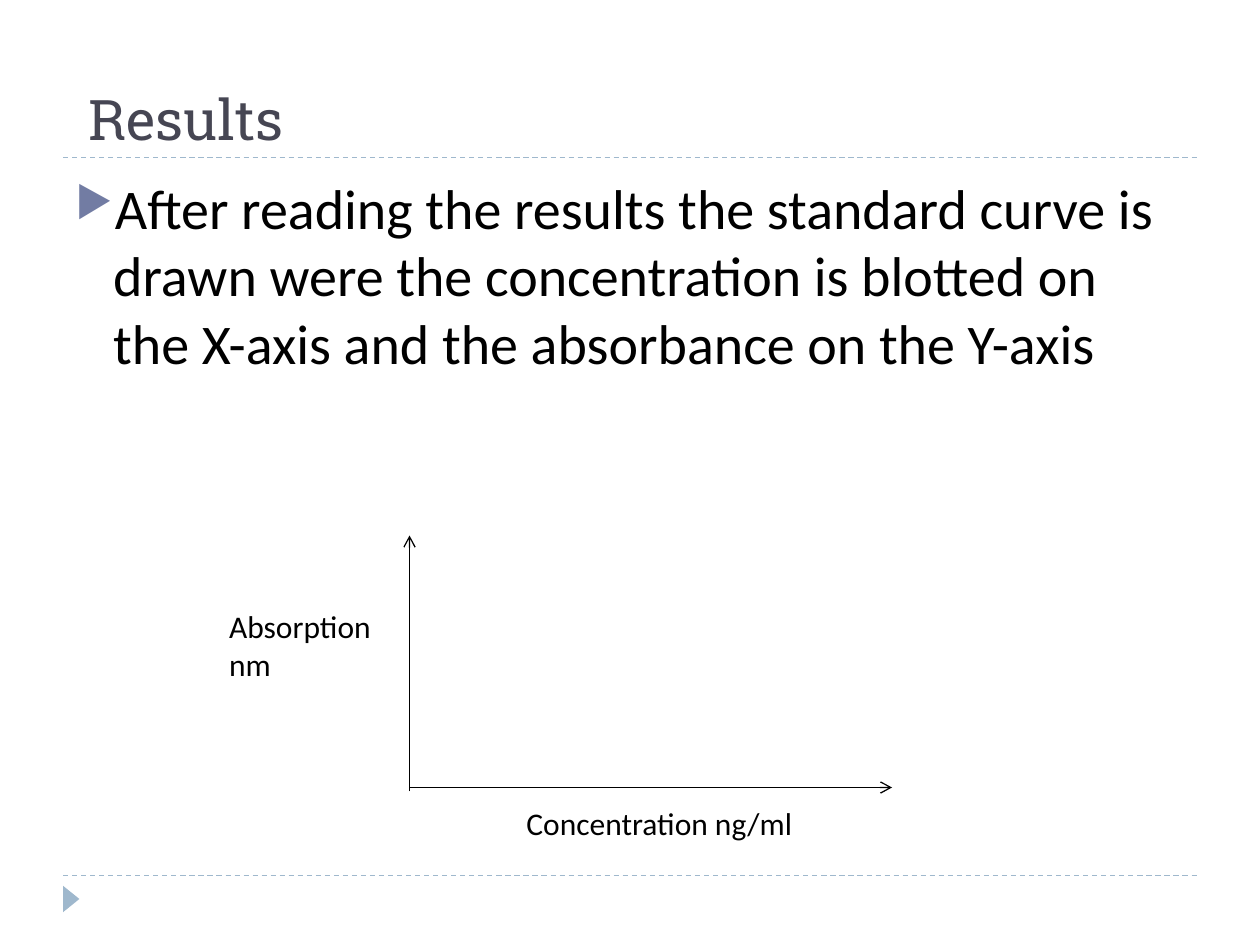
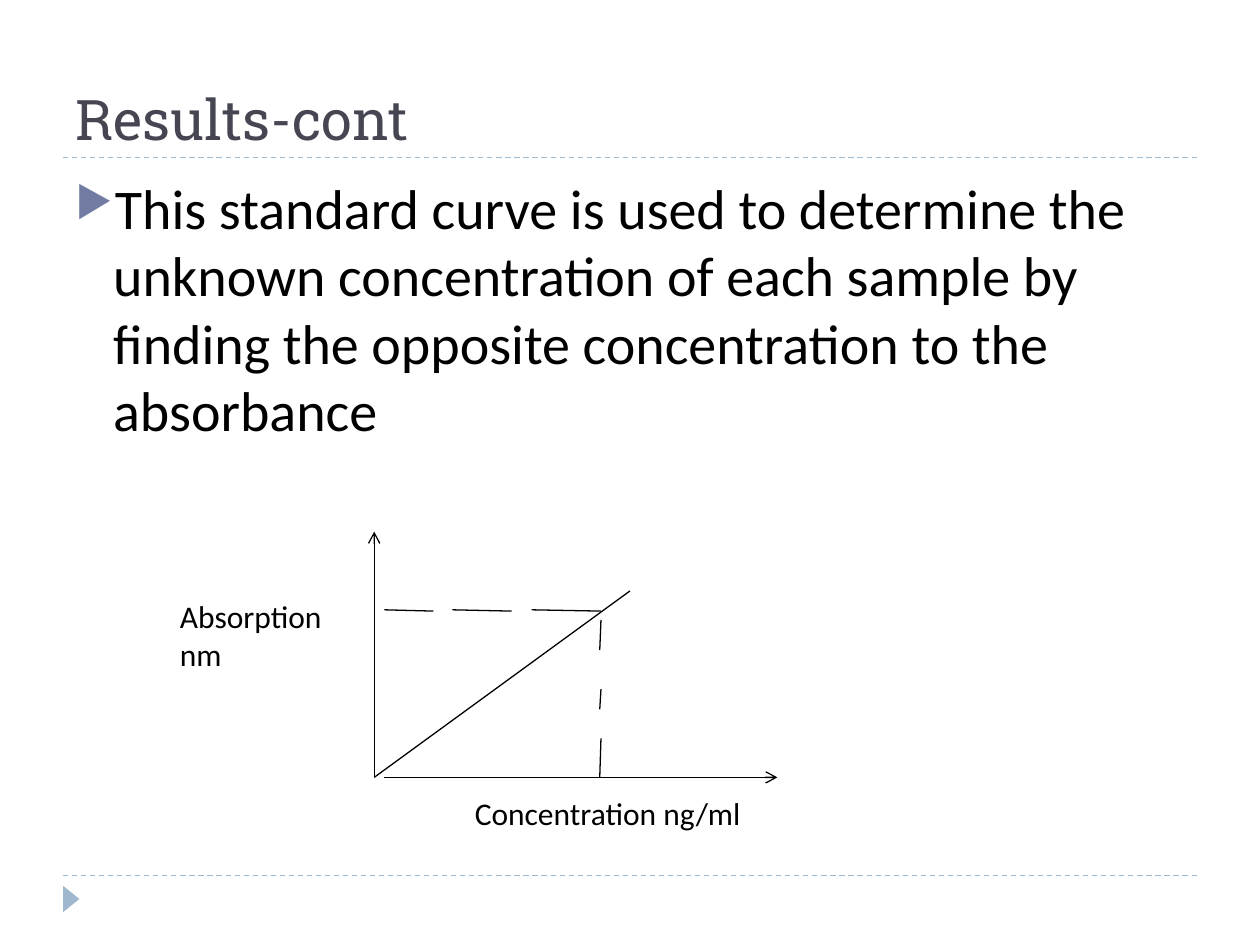
from dataclasses import dataclass

from lxml.etree import SubElement
from pptx import Presentation
from pptx.dml.color import RGBColor
from pptx.enum.dml import MSO_LINE
from pptx.enum.shapes import MSO_CONNECTOR, MSO_SHAPE
from pptx.enum.text import MSO_ANCHOR, MSO_AUTO_SIZE, PP_ALIGN
from pptx.oxml.ns import qn
from pptx.shapes.autoshape import Shape
from pptx.slide import Slide
from pptx.util import Inches, Pt

INK = RGBColor(0x00, 0x00, 0x00)
TITLE_COLOR = RGBColor(0x46, 0x46, 0x53)
RULE_COLOR = RGBColor(0x9F, 0xB8, 0xCD)
BULLET_COLOR = RGBColor(0x72, 0x7C, 0xA3)
TITLE_FONT = "Roboto Slab"
BODY_FONT = "Calibri"


@dataclass(frozen=True)
class Segment:
    x1: float
    y1: float
    x2: float
    y2: float
    arrow: bool = False


@dataclass(frozen=True)
class Label:
    text: str
    left: float
    top: float
    width: float
    height: float
    wrap: bool = True


@dataclass(frozen=True)
class ResultPage:
    title: str
    title_inset: float
    body: str
    segments: list[Segment]
    labels: list[Label]


def axis_labels(x_left: float, x_top: float, y_left: float, y_top: float) -> list[Label]:
    return [
        Label("Concentration ng/ml", x_left, x_top, 2.46, 0.4, wrap=False),
        Label("Absorption nm", y_left, y_top, 1.53, 0.71),
    ]


PAGES = [
    ResultPage(
        "Results",
        0.2,
        "After reading the results the standard curve is drawn were the concentration "
        "is blotted on the X-axis and the absorbance on the Y-axis",
        [
            Segment(3.25, 6.28, 3.25, 4.25, arrow=True),
            Segment(3.25, 6.25, 7.08, 6.25, arrow=True),
        ],
        axis_labels(4.08, 6.33, 1.72, 4.77),
    ),
    ResultPage(
        "Results-cont",
        0.1,
        "This standard curve is used to determine the unknown concentration of each "
        "sample by finding the opposite concentration to the absorbance",
        [
            Segment(2.97, 6.17, 5, 4.69),
            Segment(3.05, 6.17, 6.17, 6.17, arrow=True),
            Segment(2.97, 6.17, 2.97, 4.22, arrow=True),
            *(Segment(start, 4.84, end, 4.85)
              for start, end in ((3.05, 3.44), (3.59, 4.06), (4.22, 4.77))),
            *(Segment(4.77, start, 4.76, end)
              for start, end in ((5.86, 6.17), (5.47, 5.63), (4.92, 5.16))),
        ],
        axis_labels(3.67, 6.25, 1.33, 4.69),
    ),
]


def add_line(page: Slide, segment: Segment, color: RGBColor = INK,
             dash: MSO_LINE | None = None) -> None:
    line = page.shapes.add_connector(
        MSO_CONNECTOR.STRAIGHT, Inches(segment.x1), Inches(segment.y1),
        Inches(segment.x2), Inches(segment.y2))
    line.line.color.rgb = color
    line.line.width = Pt(0.75)
    if dash is not None:
        line.line.dash_style = dash
    if segment.arrow:
        SubElement(line.line._get_or_add_ln(), qn("a:tailEnd"), type="arrow")
    SubElement(line._element.spPr, qn("a:effectLst"))


def add_text(page: Slide, label: Label, *, size: float = 18, font: str = BODY_FONT,
             color: RGBColor = INK, anchor: MSO_ANCHOR = MSO_ANCHOR.TOP,
             inset: float = 0.1, grow: bool = False, bullet: bool = False) -> Shape:
    box = page.shapes.add_textbox(Inches(label.left), Inches(label.top),
                                  Inches(label.width), Inches(label.height))
    frame = box.text_frame
    frame.word_wrap = label.wrap
    frame.auto_size = MSO_AUTO_SIZE.SHAPE_TO_FIT_TEXT if grow else MSO_AUTO_SIZE.NONE
    frame.vertical_anchor = anchor
    frame.margin_left = Inches(inset)
    para = frame.paragraphs[0]
    para.alignment = PP_ALIGN.LEFT
    if bullet:
        add_bullet(para._p.get_or_add_pPr())
    span = para.add_run()
    span.text = label.text
    span.font.size = Pt(size)
    span.font.name = font
    span.font.color.rgb = color
    return box


def add_bullet(properties) -> None:
    properties.set("marL", str(Inches(0.3)))
    properties.set("indent", str(Inches(-0.3)))
    bullet_color = SubElement(properties, qn("a:buClr"))
    SubElement(bullet_color, qn("a:srgbClr"), val=str(BULLET_COLOR))
    SubElement(properties, qn("a:buSzPct"), val="76000")
    SubElement(properties, qn("a:buChar"), char="▶")


def add_frame(page: Slide) -> None:
    for height in (6.95, 1.25):
        add_line(page, Segment(0.5, height, 9.5, height), RULE_COLOR, MSO_LINE.DASH)
    marker = page.shapes.add_shape(MSO_SHAPE.ISOSCELES_TRIANGLE, Inches(0.46),
                                   Inches(7.07), Inches(0.21), Inches(0.13))
    marker.rotation = 90
    marker.shadow.inherit = False
    marker.fill.solid()
    marker.fill.fore_color.rgb = RULE_COLOR
    marker.line.fill.background()


def add_result_page(deck, content: ResultPage) -> None:
    page = deck.slides.add_slide(deck.slide_layouts[6])
    add_frame(page)
    add_text(page, Label(content.title, 0.5, 0.17, 9, 1.08), size=32, font=TITLE_FONT,
             color=TITLE_COLOR, anchor=MSO_ANCHOR.BOTTOM, inset=content.title_inset)
    add_text(page, Label(content.body, 0.5, 1.33, 9, 5.4), size=32, bullet=True)
    for segment in content.segments:
        add_line(page, segment)
    for label in content.labels:
        add_text(page, label, grow=True)


def main() -> None:
    deck = Presentation()
    deck.slide_width = Inches(10)
    deck.slide_height = Inches(7.5)
    for content in PAGES:
        add_result_page(deck, content)
    deck.save("out.pptx")


if __name__ == "__main__":
    main()
